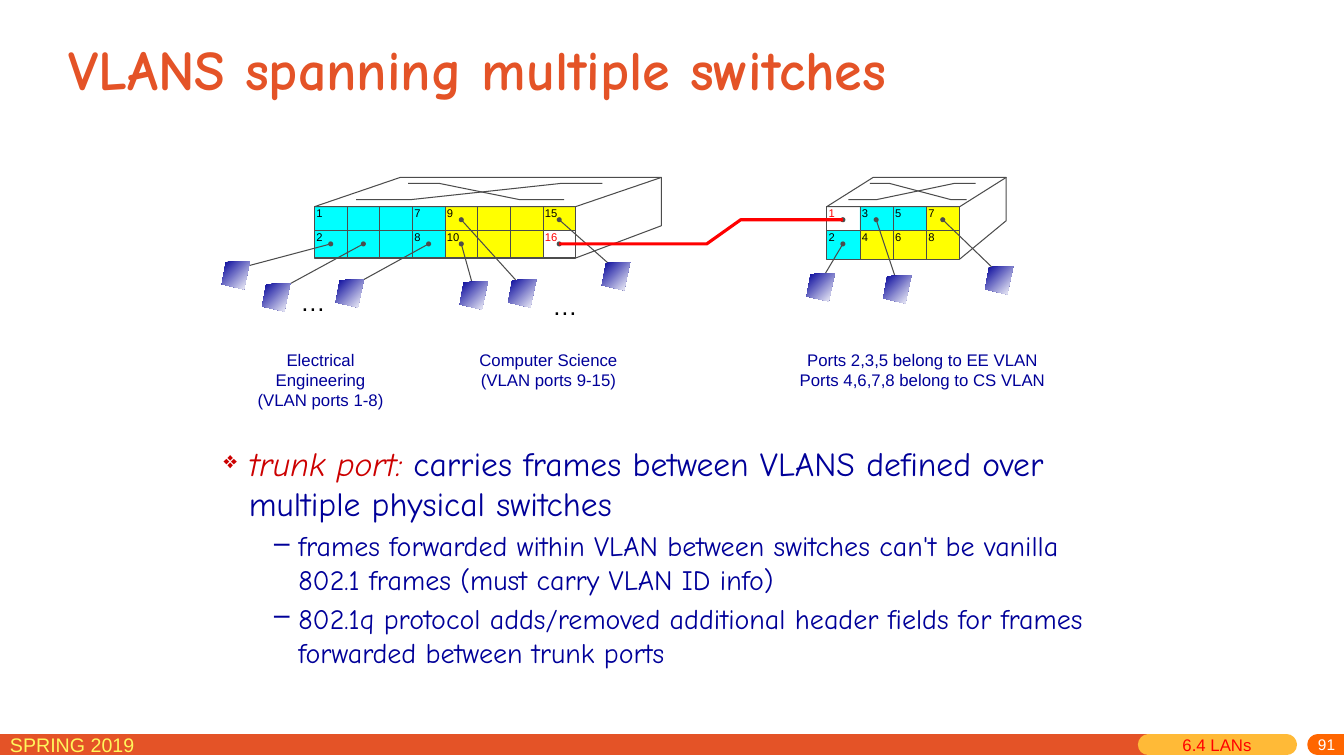
from dataclasses import dataclass
from lxml.etree import SubElement
from pptx import Presentation
from pptx.dml.color import RGBColor
from pptx.enum.shapes import MSO_CONNECTOR, MSO_SHAPE
from pptx.enum.text import MSO_ANCHOR, MSO_AUTO_SIZE, PP_ALIGN
from pptx.oxml.ns import qn
from pptx.util import Inches, Pt


@dataclass(frozen=True)
class Theme:
    sans: str = "Arial"
    hand: str = "Comic Neue"
    orange: str = "E45327"
    amber: str = "FFBA37"
    deep: str = "FF6600"
    lemon: str = "FFF65C"
    navy: str = "000099"
    crimson: str = "CC0000"
    red: str = "FF0000"
    cyan: str = "00FFFF"
    yellow: str = "FFFF00"
    gray: str = "4C4C4C"
    white: str = "FFFFFF"
    black: str = "000000"
    title: int = 40
    body: int = 24
    sub: int = 20
    dots: int = 18
    foot: int = 14
    note: int = 12
    page: int = 11
    port: int = 8
    thin: float = 0.75
    trunk: float = 2.25
    band: int = 15


T = Theme()
WIDE, HIGH = 13.33, 7.5
TOP_ROW, DOT, ROOF = 0.24, 0.05, 0.29


def rgb(color):
    return RGBColor.from_string(color)


def add_run(para, text, size, color, font=T.sans, bold=False, italic=False):
    run = para.add_run()
    run.text = text
    face = run.font
    face.name, face.size, face.color.rgb = font, Pt(size), rgb(color)
    face.bold, face.italic = bold, italic


def add_text(slide, box, lines, size, color, align=PP_ALIGN.LEFT, wrap=True):
    frame = slide.shapes.add_textbox(*map(Inches, box)).text_frame
    frame.word_wrap = wrap
    for i, line in enumerate(lines):
        para = frame.add_paragraph() if i else frame.paragraphs[0]
        para.alignment = align
        add_run(para, line, size, color)
    return frame


def paint(shape, fill=None, line=None, width=T.thin):
    shape.shadow.inherit = False
    if fill:
        shape.fill.solid()
        shape.fill.fore_color.rgb = rgb(fill)
    else:
        shape.fill.background()
    if line:
        shape.line.color.rgb = rgb(line)
        shape.line.width = Pt(width)
    else:
        shape.line.fill.background()
    return shape


def add_block(slide, kind, box, fill=None, line=None):
    return paint(slide.shapes.add_shape(kind, *map(Inches, box)), fill, line)


def add_path(slide, points, line=None, width=T.thin, close=False):
    spots = [(Inches(x), Inches(y)) for x, y in points]
    pen = slide.shapes.build_freeform(*spots[0])
    pen.add_line_segments(spots[1:], close=close)
    return paint(pen.convert_to_shape(), None, line, width)


def add_line(slide, start, end, color=T.gray, width=T.thin, cap="flat"):
    line = slide.shapes.add_connector(
        MSO_CONNECTOR.STRAIGHT, *map(Inches, (*start, *end)))
    line.line.color.rgb = rgb(color)
    line.line.width = Pt(width)
    props = line._element.spPr
    props.find(qn("a:ln")).set("cap", cap)
    SubElement(props, qn("a:effectLst"))


def add_dot(slide, x, y):
    add_block(slide, MSO_SHAPE.OVAL, (x - DOT / 2, y - DOT / 2, DOT, DOT), T.gray)


def add_host(slide, x, y):
    corners = [(0.28, 0), (0.04, 0.01), (0, 0.23), (0.22, 0.28)]
    host = add_path(slide, [(x + dx, y + dy) for dx, dy in corners], close=True)
    host.fill.gradient()
    host.fill.gradient_angle = 315
    for stop, color in zip(host.fill.gradient_stops, (T.navy, T.white)):
        stop.color.rgb = rgb(color)


def add_switch(slide, box, cols, spans, ports, hosts, trunk, depth, side, cross):
    """Draw a two-row switch on its front face; return the trunk port's dot.

    spans: (column, row, columns, rows, colour); hosts: port -> offset from box.
    """
    left, top, width, height = box
    right, base, step = left + width, top + height, width / cols
    rows = [top, top + TOP_ROW, base]

    def spot(port):
        return left + (port - 1) // 2 * step, rows[(port - 1) % 2]

    def center(port):
        x, y = spot(port)
        return x + 0.16, y + 0.13

    for col, row, wide, high, color in spans:
        cell = (left + col * step, rows[row], wide * step,
                rows[row + high] - rows[row])
        add_block(slide, MSO_SHAPE.RECTANGLE, cell, color)
    add_block(slide, MSO_SHAPE.RECTANGLE, box, line=T.gray)
    add_line(slide, (left, rows[1]), (right, rows[1]))
    for col in range(1, cols):
        x = left + col * step
        add_line(slide, (x, top), (x, base))

    span, roof = width + depth, top - ROOF
    lid = add_block(slide, MSO_SHAPE.PARALLELOGRAM, (left, roof, span, ROOF),
                    T.white, T.gray)
    lid.adjustments[0] = depth / ROOF
    far = right + depth
    add_path(slide, [(right, base), (far, roof + side), (far, roof)], T.gray)
    rise = ((0.12, 0.28, 0.71, 0.83), (0.22, 0.22, 0.06, 0.06))
    fall = (cross, (0.06, 0.06, 0.22, 0.22))
    for shares, drops in (rise, fall):
        add_path(slide, [(left + s * span, roof + d)
                         for s, d in zip(shares, drops)], T.gray)

    for port in ports:
        x, y = spot(port)
        text = str(port)
        add_text(slide, (x - 0.08, y - 0.05, 0.19 + 0.07 * len(text), 0.23), [text],
                 T.port, T.red if port == trunk else T.black, wrap=False)
    for port, (dx, dy) in hosts.items():
        add_line(slide, center(port), (left + dx + 0.14, top + dy + 0.08))
        add_dot(slide, *center(port))
        add_host(slide, left + dx, top + dy)
    add_dot(slide, *center(trunk))
    return center(trunk)


def add_trunk(slide, start, end):
    (x1, y1), (x2, y2) = start, end
    reach = x2 - x1
    add_path(slide, [start, (x1 + 0.52 * reach, y1), (x1 + 0.64 * reach, y2), end],
             T.red, T.trunk)


def add_title(slide, box, text):
    title = slide.shapes.title
    title.left, title.top, title.width, title.height = map(Inches, box)
    frame = title.text_frame
    frame.auto_size, frame.word_wrap = MSO_AUTO_SIZE.NONE, True
    frame.vertical_anchor = MSO_ANCHOR.MIDDLE
    para = frame.paragraphs[0]
    para.alignment = PP_ALIGN.LEFT
    add_run(para, text, T.title, T.orange, T.hand, bold=True)


def add_body(slide, box, items):
    frame = slide.shapes.add_textbox(*map(Inches, box)).text_frame
    frame.word_wrap = True
    for i, (level, runs) in enumerate(items):
        para = frame.add_paragraph() if i else frame.paragraphs[0]
        para.level = level
        size, mark, indent, hang, scale = (
            (T.sub, "–", 0.74, 0.24, 100) if level else (T.body, "❖", 0.25, 0.25, 70))
        para.space_before = Pt(0.2 * size if i else 0)
        props = para._p.get_or_add_pPr()
        props.set("marL", str(Inches(indent)))
        props.set("indent", str(-Inches(hang)))
        SubElement(props, qn("a:buSzPct"), val=str(scale * 1000))
        SubElement(props, qn("a:buChar"), char=mark)
        for text, color, italic in runs:
            add_run(para, text, size, color, T.hand, italic=italic)


def add_footer(slide, y):
    for start, end, color, cap in ((0, 11.39, T.orange, "flat"),
                                   (11.39, 12.76, T.amber, "rnd"),
                                   (13.07, WIDE, T.deep, "rnd")):
        add_line(slide, (start, y), (end, y), color, T.band, cap)
    add_text(slide, (0, y - 0.17, 2.29, 0.31), ["SPRING 2019"], T.foot, T.lemon)
    add_text(slide, (11.63, y - 0.15, 1.1, 0.31), ["6.4 LANs"], T.note, T.red)
    page = add_text(slide, (10.75, y - 0.07, 2.59, 0.18), ["91"], T.page, T.white,
                    PP_ALIGN.RIGHT)
    page.margin_top, page.vertical_anchor = 0, MSO_ANCHOR.MIDDLE


def main():
    deck = Presentation()
    deck.slide_width, deck.slide_height = Inches(WIDE), Inches(HIGH)
    slide = deck.slides.add_slide(deck.slide_layouts[5])
    add_footer(slide, 7.39)
    add_title(slide, (0.58, 0.28, 12.18, 0.79), "VLANS spanning multiple switches")
    big = add_switch(
        slide, (3.12, 2.05, 2.59, 0.51), 8,
        [(0, 0, 4, 2, T.cyan), (4, 0, 3, 2, T.yellow), (7, 0, 1, 1, T.yellow)],
        (1, 2, 7, 8, 9, 10, 15, 16),
        {2: (-0.92, 0.54), 4: (-0.52, 0.76), 8: (0.21, 0.72), 10: (1.44, 0.74),
         9: (1.92, 0.72), 15: (2.85, 0.55)},
        16, 0.85, 0.48, (0.27, 0.36, 0.59, 0.72))
    small = add_switch(
        slide, (8.2, 2.05, 1.32, 0.52), 4,
        [(0, 1, 1, 1, T.cyan), (1, 0, 2, 1, T.cyan), (3, 0, 1, 1, T.yellow),
         (1, 1, 3, 1, T.yellow)],
        range(1, 9), {2: (-0.2, 0.66), 3: (0.56, 0.68), 7: (1.57, 0.59)},
        1, 0.46, 0.43, (0.24, 0.35, 0.69, 0.78))
    add_trunk(slide, big, small)
    for x, y in ((2.88, 2.79), (5.38, 2.83)):
        add_text(slide, (x, y, 0.45, 0.4), ["…"], T.dots, T.black, wrap=False)
    for x, width, lines in (
            (2.38, 1.6, ["Electrical Engineering", "(VLAN ports 1-8)"]),
            (4.64, 1.6, ["Computer Science", "(VLAN ports 9-15)"]),
            (7.75, 2.8, ["Ports 2,3,5 belong to EE VLAN",
                         "Ports 4,6,7,8 belong to CS VLAN"])):
        add_text(slide, (x, 3.42, width, 0.5), lines, T.note, T.navy, PP_ALIGN.CENTER)
    add_body(slide, (2.12, 4.34, 9.07, 2.56), [
        (0, [("trunk port: ", T.crimson, True),
             ("carries frames between VLANS defined over multiple physical switches",
              T.navy, False)]),
        (1, [("frames forwarded within VLAN between switches can't be vanilla "
              "802.1 frames (must carry VLAN ID info)", T.navy, False)]),
        (1, [("802.1q protocol adds/removed additional header fields for frames "
              "forwarded between trunk ports", T.navy, False)])])
    deck.save("out.pptx")


if __name__ == "__main__":
    main()
